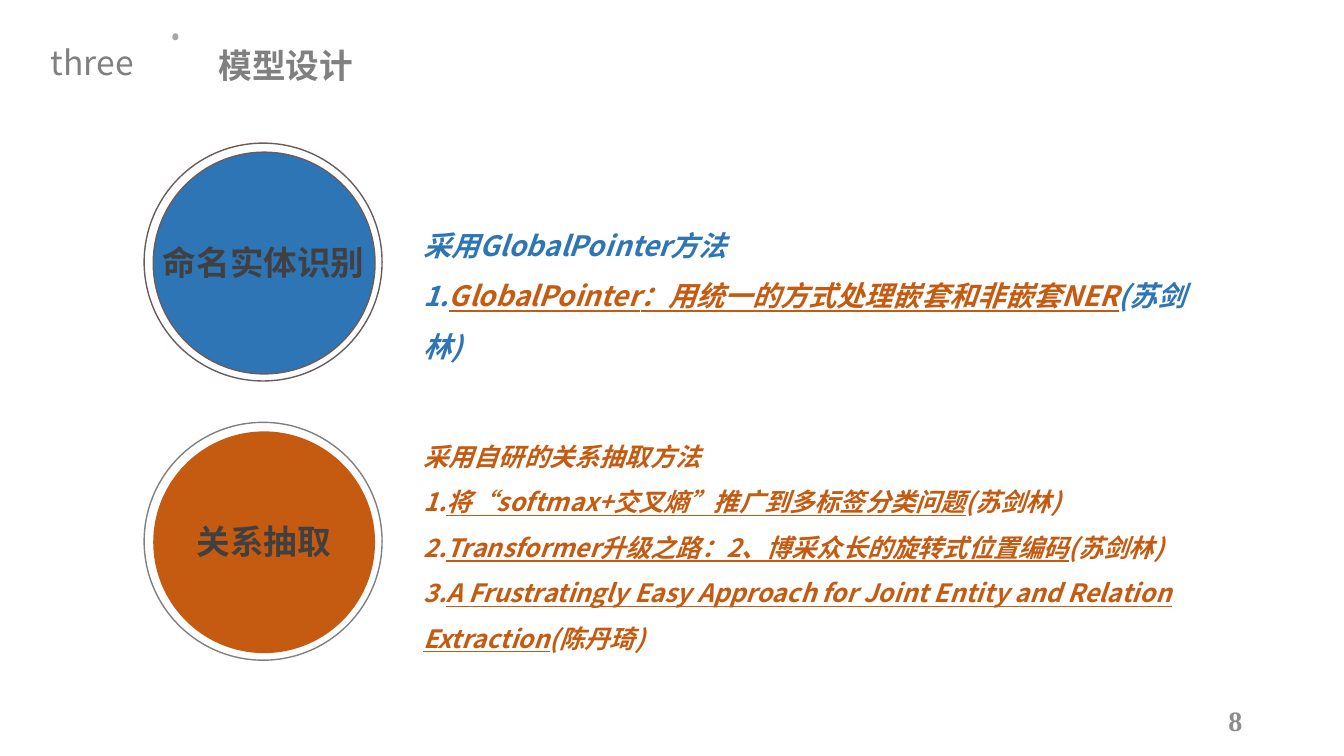
import dataclasses

import pptx
import pptx.dml.color
import pptx.enum.shapes
import pptx.enum.text
import pptx.oxml.ns
import pptx.util
from lxml import etree

PX = 9144  # one hundredth of an inch
ALIGN = pptx.enum.text.PP_ALIGN
ANCHOR = pptx.enum.text.MSO_ANCHOR


@dataclasses.dataclass(frozen=True)
class Theme:
    sans: str = "Noto Sans CJK SC"
    serif: str = "Times New Roman"
    blue: str = "2E75B6"
    orange: str = "C55A11"
    grey: str = "808080"
    dot: str = "A6A6A6"
    ring: str = "6A5C5C"
    label: str = "404040"
    number: str = "8C8C8C"
    title: int = 24
    large: int = 20
    body: int = 18


THEME = Theme()


def rgb(color):
    return pptx.dml.color.RGBColor.from_string(color)


def px(*lengths):
    return [n * PX for n in lengths]


def style_paragraph(p, size, color, name=THEME.sans, bold=False, italic=False):
    """Set the paragraph font, for East Asian characters too."""
    f = p.font
    f.size, f.name, f.bold, f.italic = pptx.util.Pt(size), name, bold, italic
    f.color.rgb = rgb(color)
    qn = pptx.oxml.ns.qn
    latin = p._p.pPr.find(qn("a:defRPr")).find(qn("a:latin"))
    ea = etree.Element(qn("a:ea"), typeface=name)
    latin.addnext(ea)


def add_box(s, box, anchor=ANCHOR.TOP, wrap=True):
    tf = s.shapes.add_textbox(*px(*box)).text_frame
    tf.word_wrap = wrap
    tf.vertical_anchor = anchor
    return tf


def add_label(s, text, box, size, color, align=ALIGN.CENTER,
              anchor=ANCHOR.TOP, wrap=True, **font):
    tf = add_box(s, box, anchor, wrap)
    p = tf.paragraphs[0]
    p.text, p.alignment = text, align
    style_paragraph(p, size, color, **font)
    return tf


def add_oval(s, box, fill=None, line=None):
    sp = s.shapes.add_shape(pptx.enum.shapes.MSO_SHAPE.OVAL, *px(*box))
    sp.shadow.inherit = False
    if fill:
        sp.fill.solid()
        sp.fill.fore_color.rgb = rgb(fill)
    else:
        sp.fill.background()
    if line:
        sp.line.color.rgb = rgb(line)
        sp.line.width = pptx.util.Pt(1)
    else:
        sp.line.fill.background()


def add_badge(s, text, top, label_top, fill, ring, edge=None):
    """A filled disc inside a thin ring, with its label."""
    add_oval(s, (152, top + 9, 220, 220), fill, edge)
    add_oval(s, (143, top, 236, 236), line=ring)
    add_label(s, text, (147, label_top, 229, 50), THEME.title, THEME.label,
              bold=True)


def add_references(s, box, size, color, heading, references):
    """A heading and numbered works: underlined title, then author."""
    tf = add_box(s, box)
    rows = [[(heading, False)]]
    for number, (title, author) in enumerate(references, 1):
        rows.append([(f"{number}.", False), (title, True),
                     (f"({author})", False)])
    for i, row in enumerate(rows):
        p = tf.paragraphs[0] if i == 0 else tf.add_paragraph()
        p.line_spacing = 1.5
        style_paragraph(p, size, color, bold=True, italic=True)
        for text, is_title in row:
            r = p.add_run()
            r.text = text
            if is_title:
                r.font.underline = True
                r.font.color.rgb = rgb(THEME.orange)


def main():
    prs = pptx.Presentation()
    prs.slide_width, prs.slide_height = px(1333, 750)
    s = prs.slides.add_slide(prs.slide_layouts[6])

    add_oval(s, (171, 33, 6, 7), THEME.dot)
    add_label(s, "three", (40, 37, 103, 50), THEME.title, THEME.grey,
              wrap=False)
    tf = add_label(s, "模型设计", (190, 33, 483, 68), THEME.title, THEME.grey,
                   ALIGN.JUSTIFY, ANCHOR.MIDDLE, bold=True)
    tf.margin_left, tf.margin_right = px(27, 30)
    tf.paragraphs[0].line_spacing = 0.9

    add_badge(s, "关系抽取", 419, 512, THEME.orange, THEME.grey)
    add_badge(s, "命名实体识别", 142, 235, THEME.blue, THEME.ring, THEME.ring)

    add_references(s, (410, 205, 806, 111), THEME.large, THEME.blue,
                   "采用GlobalPointer方法",
                   [("GlobalPointer：用统一的方式处理嵌套和非嵌套NER", "苏剑林")])
    add_references(s, (410, 418, 806, 237), THEME.body, THEME.orange,
                   "采用自研的关系抽取方法",
                   [("将“softmax+交叉熵”推广到多标签分类问题", "苏剑林"),
                    ("Transformer升级之路：2、博采众长的旋转式位置编码", "苏剑林"),
                    ("A Frustratingly Easy Approach for Joint Entity "
                     "and Relation Extraction", "陈丹琦")])
    add_label(s, "8", (942, 695, 300, 40), THEME.large, THEME.number,
              ALIGN.RIGHT, ANCHOR.MIDDLE, name=THEME.serif, bold=True)
    prs.save("out.pptx")


if __name__ == "__main__":
    main()
